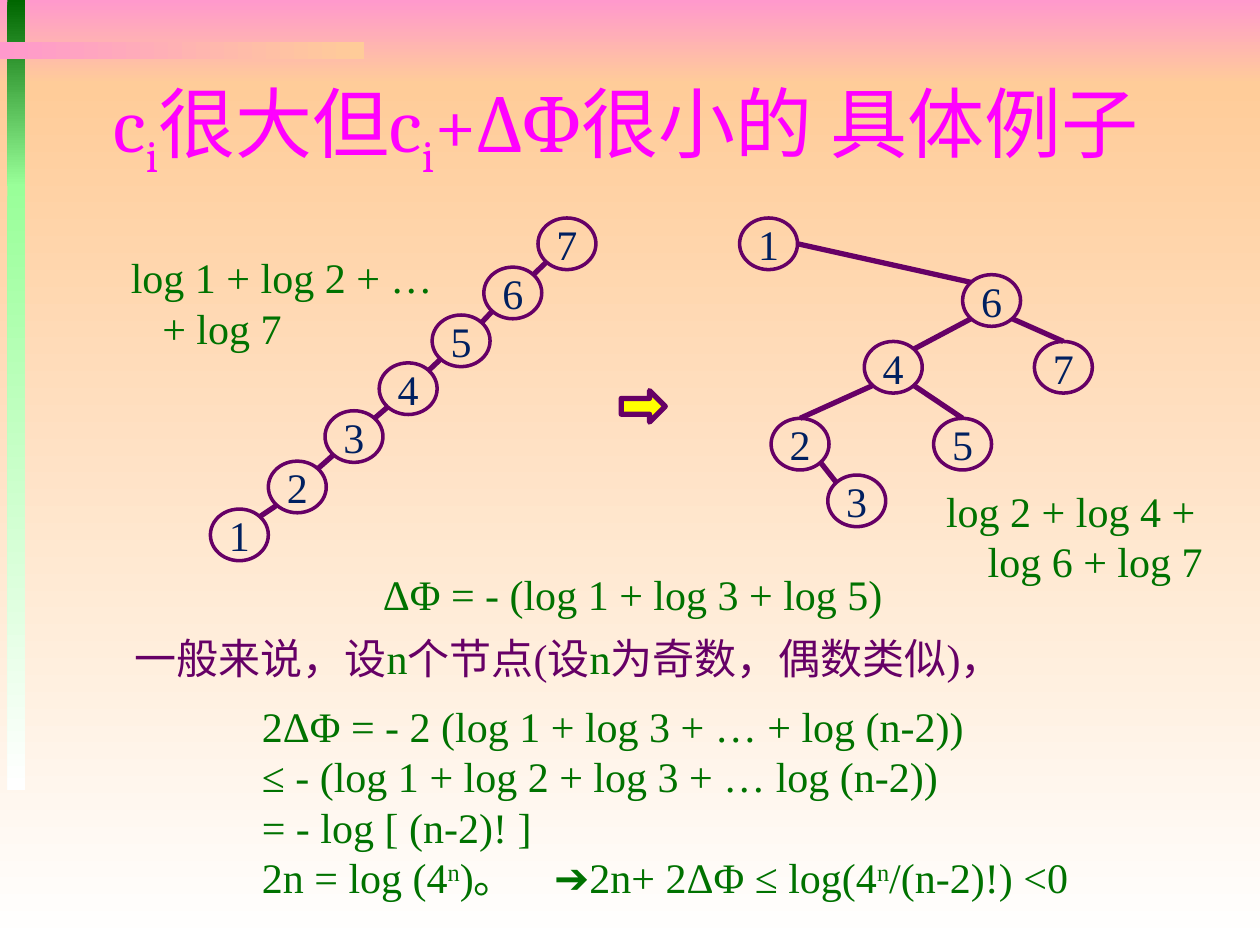
from pptx import Presentation
from pptx.dml.color import RGBColor
from pptx.enum.shapes import MSO_CONNECTOR, MSO_SHAPE
from pptx.enum.text import MSO_ANCHOR, PP_ALIGN
from pptx.oxml.ns import qn
from pptx.util import Inches, Pt
from lxml.etree import SubElement

THEME = {
    "pink": "FF99CC", "peach": "FFCC99", "white": "FFFFFF",
    "dark": "006600", "light": "99FF99",
    "title": "FF00FF", "line": "660066", "node": "002060",
    "green": "007200", "purple": "660066", "arrow": "FFFF00",
    "title_size": 44, "body_size": 24,
    "title_font": "Cambria", "body_font": "Times New Roman",
    "cjk_font": "Noto Sans CJK SC",
}
SUB, SUP = -25000, 30000

BANDS = [
    ((0, 0, 10, 0.67), "pink", "peach", 270),
    ((0, 0.67, 10, 6.83), "peach", "white", 270),
    ((0.06, 0, 0.14, 1.48), "dark", "light", 270),
    ((0.06, 1.46, 0.14, 4.81), "light", "white", 270),
    ((0, 0.33, 2.89, 0.14), "pink", "peach", 0),
]

TITLE = [("c", "title", 0), ("i", "title", SUB), ("很大但c", "title", 0),
         ("i", "title", SUB), ("+ΔΦ很小的 具体例子", "title", 0)]

NODE_W, NODE_H = 0.46, 0.41
CHAIN = {1: (1.67, 4.04), 2: (2.13, 3.66), 3: (2.58, 3.26), 4: (3.01, 2.88),
         5: (3.43, 2.5), 6: (3.84, 2.12), 7: (4.27, 1.73)}
TREE = {1: (5.87, 1.73), 2: (6.12, 3.32), 3: (6.57, 3.77), 4: (6.86, 2.71),
        5: (7.41, 3.32), 6: (7.64, 2.18), 7: (8.21, 2.71)}
SITES = {"top": (0.5, 0), "right": (1, 0.5), "top left": (0.15, 0.15),
         "top right": (0.85, 0.15), "bottom left": (0.15, 0.85),
         "bottom right": (0.85, 0.85)}
CHAIN_EDGES = [(n, "top right", n + 1, "bottom left") for n in range(1, 7)]
TREE_EDGES = [
    (1, "right", 6, "top left"),
    (6, "bottom left", 4, "top right"),
    (6, "bottom right", 7, "top"),
    (4, "bottom left", 2, "top"),
    (4, "bottom right", 5, "top"),
    (2, "bottom right", 3, "top left"),
]

TEXTS = [
    ((0.94, 1.95, 2.7, 0.91), [
        (0, [("log 1 + log 2 + …", "green", 0)]),
        (0.25, [("+ log 7", "green", 0)])]),
    ((7.41, 3.8, 2.28, 0.91), [
        (0, [("log 2 + log 4 +", "green", 0)]),
        (0.33, [("log 6 + log 7", "green", 0)])]),
    ((2.94, 4.46, 4.2, 0.5), [
        (0, [("ΔΦ = - (log 1 + log 3 + log 5)", "green", 0)])]),
    ((1.98, 5.51, 7.23, 1.72), [
        (0, [("2ΔΦ = - 2 (log 1 + log 3 + … + log (n-2))", "green", 0)]),
        (0, [("≤ - (log 1 + log 2 + log 3 + … log (n-2))", "green", 0)]),
        (0, [("= - log [ (n-2)! ]", "green", 0)]),
        (0, [("2n = log (4", "green", 0), ("n", "green", SUP),
             (")。\t➔2n+ 2ΔΦ ≤ log(4", "green", 0), ("n", "green", SUP),
             ("/(n-2)!) <0", "green", 0)])]),
    ((0.97, 4.97, 7.29, 0.5), [
        (0, [("一般来说，设", "purple", 0), ("n", "green", 0),
             ("个节点(设", "purple", 0), ("n", "green", 0),
             ("为奇数，偶数类似)，", "purple", 0)])]),
]
TAB_STOP = 2.32


def color(name):
    return RGBColor.from_string(THEME[name])


def place(box):
    return [Inches(v) for v in box]


def add_runs(p, runs, kind="body"):
    for text, tint, baseline in runs:
        r = p.add_run()
        r.text = text
        r.font.size = Pt(THEME[kind + "_size"])
        r.font.color.rgb = color(tint)
        r.font.name = THEME[kind + "_font"]
        rPr = r.font._element
        SubElement(rPr, qn("a:ea")).set("typeface", THEME["cjk_font"])
        if baseline:
            rPr.set("baseline", str(baseline))


def add_band(slide, box, start, end, angle):
    sp = slide.shapes.add_shape(MSO_SHAPE.RECTANGLE, *place(box))
    sp.shadow.inherit = False
    sp.line.fill.background()
    sp.fill.gradient()
    sp.fill.gradient_angle = angle
    for stop, name in zip(sp.fill.gradient_stops, (start, end)):
        stop.color.rgb = color(name)
    for stop, position in zip(sp.fill.gradient_stops, (0, 1)):
        stop.position = position


def add_outlined(slide, shape, box, width):
    sp = slide.shapes.add_shape(shape, *place(box))
    sp.shadow.inherit = False
    sp.fill.background()
    sp.line.color.rgb = color("line")
    sp.line.width = Pt(width)
    return sp


def add_tree(slide, nodes, edges):
    def site(node, name):
        (x, y), (fx, fy) = nodes[node], SITES[name]
        return Inches(x + fx * NODE_W), Inches(y + fy * NODE_H)

    for a, a_site, b, b_site in edges:
        edge = slide.shapes.add_connector(
            MSO_CONNECTOR.STRAIGHT, *site(a, a_site), *site(b, b_site))
        edge.line.color.rgb = color("line")
        edge.line.width = Pt(3)
        SubElement(edge._element.spPr, qn("a:effectLst"))
    for label, (x, y) in nodes.items():
        sp = add_outlined(slide, MSO_SHAPE.OVAL, (x, y, NODE_W, NODE_H), 2)
        tf = sp.text_frame
        tf.word_wrap = False
        tf.vertical_anchor = MSO_ANCHOR.MIDDLE
        tf.paragraphs[0].alignment = PP_ALIGN.CENTER
        add_runs(tf.paragraphs[0], [(str(label), "node", 0)])


def add_text(slide, box, paragraphs):
    tf = slide.shapes.add_textbox(*place(box)).text_frame
    tf.word_wrap = True
    for i, (indent, runs) in enumerate(paragraphs):
        p = tf.paragraphs[0] if i == 0 else tf.add_paragraph()
        pPr = p._p.get_or_add_pPr()
        if indent:
            pPr.set("marL", str(Inches(indent)))
        if any("\t" in text for text, _, _ in runs):
            tabs = SubElement(pPr, qn("a:tabLst"))
            SubElement(tabs, qn("a:tab"), pos=str(Inches(TAB_STOP)), algn="l")
        add_runs(p, runs)


def main():
    prs = Presentation()
    prs.slide_width, prs.slide_height = Inches(10), Inches(7.5)
    slide = prs.slides.add_slide(prs.slide_layouts[5])

    for band in BANDS:
        add_band(slide, *band)

    title = slide.shapes.title
    title.left, title.top, title.width, title.height = place((0.8, 0.57, 9.06, 0.9))
    title._element.getparent().append(title._element)
    tf = title.text_frame
    tf.word_wrap = True
    tf.vertical_anchor = MSO_ANCHOR.MIDDLE
    tf.paragraphs[0].alignment = PP_ALIGN.LEFT
    add_runs(tf.paragraphs[0], TITLE, "title")

    add_tree(slide, CHAIN, CHAIN_EDGES)
    arrow = add_outlined(slide, MSO_SHAPE.RIGHT_ARROW, (4.93, 3.1, 0.35, 0.25), 3)
    arrow.fill.solid()
    arrow.fill.fore_color.rgb = color("arrow")
    add_tree(slide, TREE, TREE_EDGES)

    for box, paragraphs in TEXTS:
        add_text(slide, box, paragraphs)

    prs.save("out.pptx")


if __name__ == "__main__":
    main()
